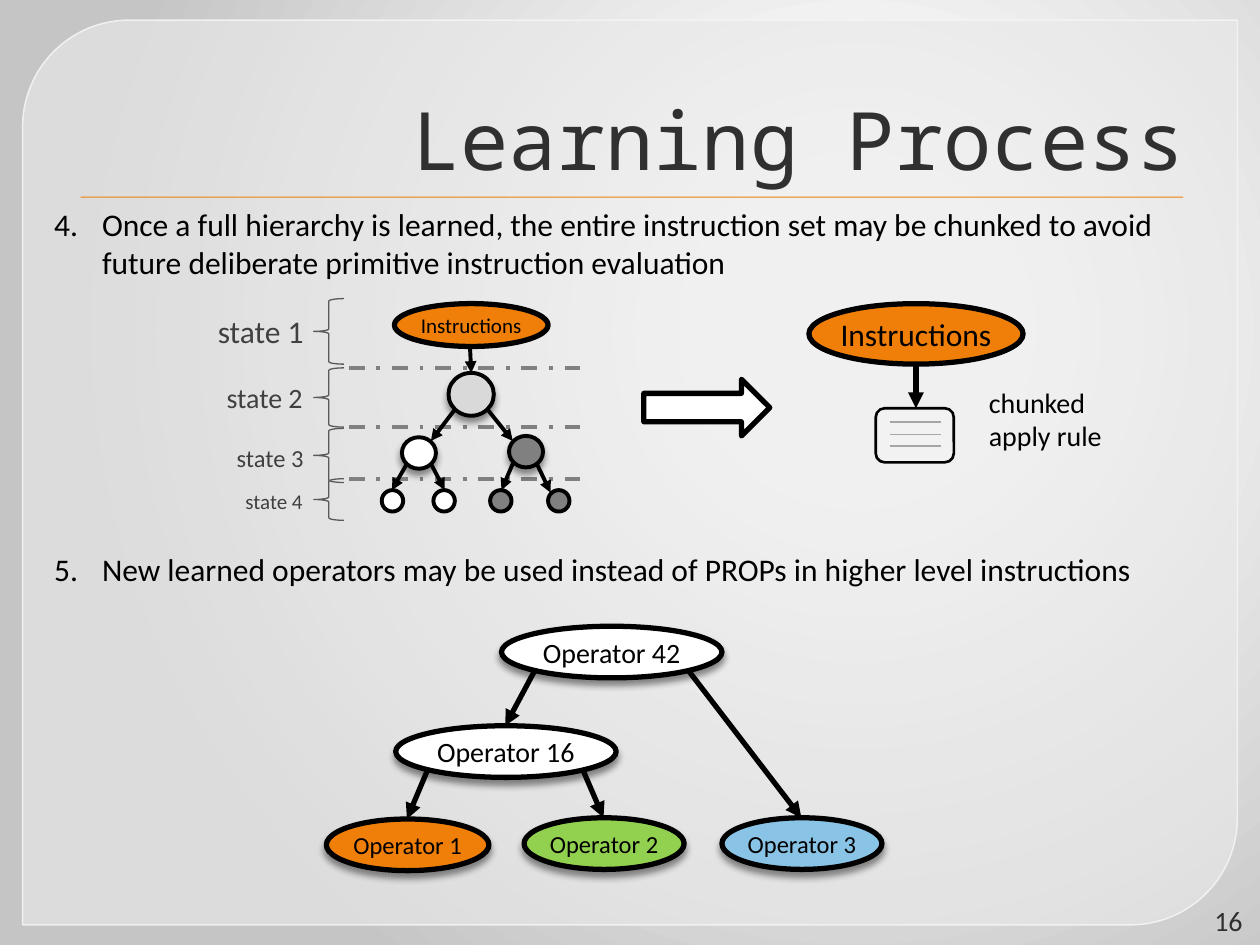
"""Build the Learning Process slide."""
from dataclasses import dataclass
from typing import Optional

import lxml.etree
import pptx
import pptx.dml.color
import pptx.enum.dml
import pptx.enum.shapes
import pptx.enum.text
import pptx.oxml
import pptx.oxml.ns
import pptx.util

RGBColor = pptx.dml.color.RGBColor
Inches = pptx.util.Inches
Pt = pptx.util.Pt
MSO = pptx.enum.shapes.MSO_SHAPE
ALIGN = pptx.enum.text.PP_ALIGN
ANCHOR = pptx.enum.text.MSO_ANCHOR
DASH = pptx.enum.dml.MSO_LINE
qn = pptx.oxml.ns.qn

BLACK = RGBColor(0x00, 0x00, 0x00)
WHITE = RGBColor(0xFF, 0xFF, 0xFF)
INK = RGBColor(0x30, 0x30, 0x30)
LABEL = RGBColor(0x40, 0x40, 0x40)
BRACE = RGBColor(0x59, 0x59, 0x59)
GRAY = RGBColor(0x80, 0x80, 0x80)
RULE = RGBColor(0xA6, 0xA6, 0xA6)
LIGHT = RGBColor(0xD9, 0xD9, 0xD9)
CARD = RGBColor(0xF2, 0xF2, 0xF2)
PANEL = RGBColor(0xE9, 0xE9, 0xE9)
EDGE = RGBColor(0xF5, 0xF5, 0xF5)
ORANGE = RGBColor(0xF0, 0x7F, 0x09)
GREEN = RGBColor(0x92, 0xD0, 0x50)
BLUE = RGBColor(0x89, 0xC3, 0xE5)
BODY_FONT = "Calibri"
TITLE_FONT = "Noto Sans Mono"
NS = 'xmlns:a="http://schemas.openxmlformats.org/drawingml/2006/main"'
BACKGROUND = f"""<a:gradFill {NS} rotWithShape="1"><a:gsLst>
<a:gs pos="0"><a:srgbClr val="FFFFFF"/></a:gs><a:gs pos="20000"><a:srgbClr val="FFFFFF"/></a:gs>
<a:gs pos="100000"><a:srgbClr val="C5C5C5"/></a:gs></a:gsLst>
<a:path path="circle"><a:fillToRect l="68000" t="35000" r="32000" b="65000"/></a:path></a:gradFill>"""


@dataclass
class Node:
    x: float
    y: float
    w: float
    h: float
    fill: Optional[RGBColor]
    line: float = 3
    text: str = ""
    size: float = 16
    shadow: bool = True
    kind: int = MSO.OVAL
    color: RGBColor = BLACK


@dataclass
class Line:
    x1: float
    y1: float
    x2: float
    y2: float
    width: float = 3
    color: RGBColor = BLACK
    arrow: bool = True
    dash: Optional[int] = None


@dataclass
class State:
    text: str
    size: float
    x: float
    y: float
    w: float
    h: float
    brace_y: float
    brace_h: float


STATES = [
    State("state 1", 18, 1.63, 2.43, 0.89, 0.4, 2.37, 0.52),
    State("state 2", 16, 1.7, 2.97, 0.81, 0.37, 2.92, 0.47),
    State("state 3", 14, 1.78, 3.47, 0.74, 0.34, 3.4, 0.43),
    State("state 4", 12, 1.85, 3.83, 0.66, 0.3, 3.8, 0.33),
]
DIVIDERS = [Line(2.77, y, 4.68, y, 2.25, GRAY, False, DASH.DASH_DOT) for y in (2.92, 3.39, 3.8)]
TREE_ARROWS = [Line(*ends, 2.25) for ends in (
    (3.73, 2.75, 3.74, 2.96), (3.61, 3.25, 3.42, 3.5), (3.87, 3.25, 4.07, 3.5),
    (3.23, 3.68, 3.11, 3.89), (3.42, 3.68, 3.53, 3.89),
    (4.07, 3.68, 3.98, 3.89), (4.26, 3.68, 4.37, 3.91))]
TREE_NODES = [
    Node(3.13, 2.41, 1.22, 0.34, ORANGE, 3, "Instructions", 12, False),
    Node(3.56, 2.96, 0.36, 0.34, LIGHT, 2.25),
    Node(3.19, 3.47, 0.27, 0.25, WHITE, 2.25),
    Node(4.04, 3.46, 0.27, 0.25, GRAY, 2.25),
] + [Node(x, 3.89, 0.17, 0.17, fill, 2.25, shadow=False) for x, fill in (
    (3.03, WHITE), (3.44, WHITE), (3.89, GRAY), (4.35, GRAY))]
CHUNK_NODES = [
    Node(6.95, 3.24, 0.62, 0.43, CARD, 1.5, shadow=False, kind=MSO.ROUNDED_RECTANGLE),
    Node(6.42, 2.41, 1.7, 0.48, ORANGE, 3, "Instructions", 18, False),
    Node(5.11, 3.01, 1, 0.45, WHITE, shadow=False, kind=MSO.RIGHT_ARROW),
]
CHUNK_LINES = [Line(7.06, y, 7.47, y, 0.75, RULE, False) for y in (3.35, 3.45, 3.54)]
OPERATOR_ARROWS = [Line(*ends) for ends in (
    (4.24, 5.33, 4.01, 5.76), (5.47, 5.33, 6.36, 6.49),
    (3.39, 6.12, 3.23, 6.5), (4.63, 6.12, 4.79, 6.49))]
OPERATOR_NODES = [
    Node(3.98, 4.97, 1.75, 0.41, WHITE, text="Operator 42"),
    Node(3.14, 5.76, 1.75, 0.41, WHITE, text="Operator 16"),
    Node(2.59, 6.5, 1.29, 0.41, ORANGE, text="Operator 1", size=14),
    Node(4.16, 6.49, 1.27, 0.41, GREEN, text="Operator 2", size=14),
    Node(5.73, 6.49, 1.27, 0.41, BLUE, text="Operator 3", size=14),
]
STEPS = [
    ["Once a full hierarchy is learned, the entire instruction set may be chunked to avoid",
     "future deliberate primitive instruction evaluation"],
    ["New learned operators may be used instead of PROPs in higher level instructions"],
]


def add_run(p, text: str, size: float, color: RGBColor = BLACK, font: str = BODY_FONT) -> None:
    r = p.add_run()
    r.text = text
    r.font.size = Pt(size)
    r.font.name = font
    r.font.color.rgb = color


def add_shadow(sp, alpha: int, blur: float, dist: float) -> None:
    sp.shadow.inherit = False
    effects = sp._element.spPr.find(qn("a:effectLst"))
    effects.append(pptx.oxml.parse_xml(
        f'<a:outerShdw {NS} blurRad="{Pt(blur)}" dist="{Pt(dist)}" dir="5400000" rotWithShape="0">'
        f'<a:srgbClr val="000000"><a:alpha val="{alpha * 1000}"/></a:srgbClr></a:outerShdw>'))


def set_alpha(fill_parent, percent: int) -> None:
    color = fill_parent.find(qn("a:solidFill"))[0]
    lxml.etree.SubElement(color, qn("a:alpha")).set("val", str(percent * 1000))


def add_node(s, node: Node):
    sp = s.shapes.add_shape(node.kind, Inches(node.x), Inches(node.y), Inches(node.w), Inches(node.h))
    sp.shadow.inherit = False
    if node.fill is None:
        sp.fill.background()
    else:
        sp.fill.solid()
        sp.fill.fore_color.rgb = node.fill
    sp.line.color.rgb = node.color
    sp.line.width = Pt(node.line)
    if node.shadow:
        add_shadow(sp, 43, 4, 3)
    if node.text:
        tf = sp.text_frame
        tf.margin_left = tf.margin_right = 0
        tf.vertical_anchor = ANCHOR.MIDDLE
        tf.paragraphs[0].alignment = ALIGN.CENTER
        add_run(tf.paragraphs[0], node.text, node.size)
    return sp


def add_line(s, line: Line) -> None:
    sp = s.shapes.add_connector(pptx.enum.shapes.MSO_CONNECTOR.STRAIGHT, Inches(line.x1),
                                Inches(line.y1), Inches(line.x2), Inches(line.y2))
    sp.line.color.rgb = line.color
    sp.line.width = Pt(line.width)
    if line.dash is not None:
        sp.line.dash_style = line.dash
    if line.arrow:
        lxml.etree.SubElement(sp.line._get_or_add_ln(), qn("a:tailEnd")).set("type", "triangle")
    lxml.etree.SubElement(sp._element.spPr, qn("a:effectLst"))


def add_text(s, text: str, x: float, y: float, w: float, h: float, size: float,
             color: RGBColor = BLACK, align: int = ALIGN.LEFT, wrap: bool = True) -> None:
    tf = s.shapes.add_textbox(Inches(x), Inches(y), Inches(w), Inches(h)).text_frame
    tf.word_wrap = wrap
    tf.paragraphs[0].alignment = align
    add_run(tf.paragraphs[0], text, size, color)


def place(sp, x: float, y: float, w: float, h: float) -> None:
    sp.left, sp.top, sp.width, sp.height = Inches(x), Inches(y), Inches(w), Inches(h)


def add_backdrop(s) -> None:
    s.background.fill.solid()
    solid = next(s._element.iter(qn("a:solidFill")))
    solid.getparent().replace(solid, pptx.oxml.parse_xml(BACKGROUND))
    panel = add_node(s, Node(0.18, 0.16, 9.64, 7.18, PANEL, 0.87, shadow=False,
                             kind=MSO.ROUND_2_DIAG_RECTANGLE, color=EDGE))
    panel.adjustments[0], panel.adjustments[1] = 0.118, 0
    set_alpha(panel._element.spPr, 65)
    set_alpha(panel.line._get_or_add_ln(), 88)
    rule = add_node(s, Node(0.64, 1.56, 8.75, 0.01, ORANGE, shadow=False, kind=MSO.RECTANGLE))
    rule.line.fill.background()
    add_shadow(rule, 75, 1, 1)
    for index, sp in enumerate((panel, rule), 2):
        s.shapes._spTree.insert(index, sp._element)


def fill_placeholders(s) -> None:
    title, body = s.shapes.title, s.placeholders[1]
    place(title, 0.5, 0.28, 9, 1.25)
    title.text_frame.vertical_anchor = ANCHOR.BOTTOM
    p = title.text_frame.paragraphs[0]
    p.alignment = ALIGN.RIGHT
    add_run(p, "Learning Process", 46, INK, TITLE_FONT)
    place(body, 0.33, 1.58, 9.09, 3.13)
    tf = body.text_frame
    tf.auto_size = pptx.enum.text.MSO_AUTO_SIZE.NONE
    for i, lines in enumerate(STEPS):
        p = tf.add_paragraph() if i else tf.paragraphs[0]
        pPr = p._p.get_or_add_pPr()
        pPr.set("marL", str(Inches(0.38)))
        pPr.set("indent", str(-Inches(0.38)))
        lxml.etree.SubElement(pPr, qn("a:buFont")).set("typeface", BODY_FONT)
        number = lxml.etree.SubElement(pPr, qn("a:buAutoNum"))
        number.set("type", "arabicPeriod")
        number.set("startAt", "4")
        p.space_before = Pt(154 * i)
        for j, text in enumerate(lines):
            if j:
                p.add_line_break()
            add_run(p, text, 18)


def main() -> None:
    prs = pptx.Presentation()
    prs.slide_width, prs.slide_height = Inches(10), Inches(7.5)
    s = prs.slides.add_slide(prs.slide_layouts[1])
    add_backdrop(s)
    fill_placeholders(s)
    for state in STATES:
        add_node(s, Node(2.49, state.brace_y, 0.24, state.brace_h, None, 0.75, shadow=False,
                         kind=MSO.LEFT_BRACE, color=BRACE))
        add_text(s, state.text, state.x, state.y, state.w, state.h, state.size, LABEL, wrap=False)
    for line in DIVIDERS + TREE_ARROWS + OPERATOR_ARROWS + [Line(7.27, 2.89, 7.27, 3.24)]:
        add_line(s, line)
    for node in TREE_NODES + CHUNK_NODES + OPERATOR_NODES:
        add_node(s, node)
    for line in CHUNK_LINES:
        add_line(s, line)
    add_text(s, "chunked apply rule", 7.75, 3.01, 1.29, 0.64, 16)
    add_text(s, "16", 9.45, 7.12, 0.51, 0.3, 16, INK, ALIGN.RIGHT)
    prs.save("out.pptx")


if __name__ == "__main__":
    main()
